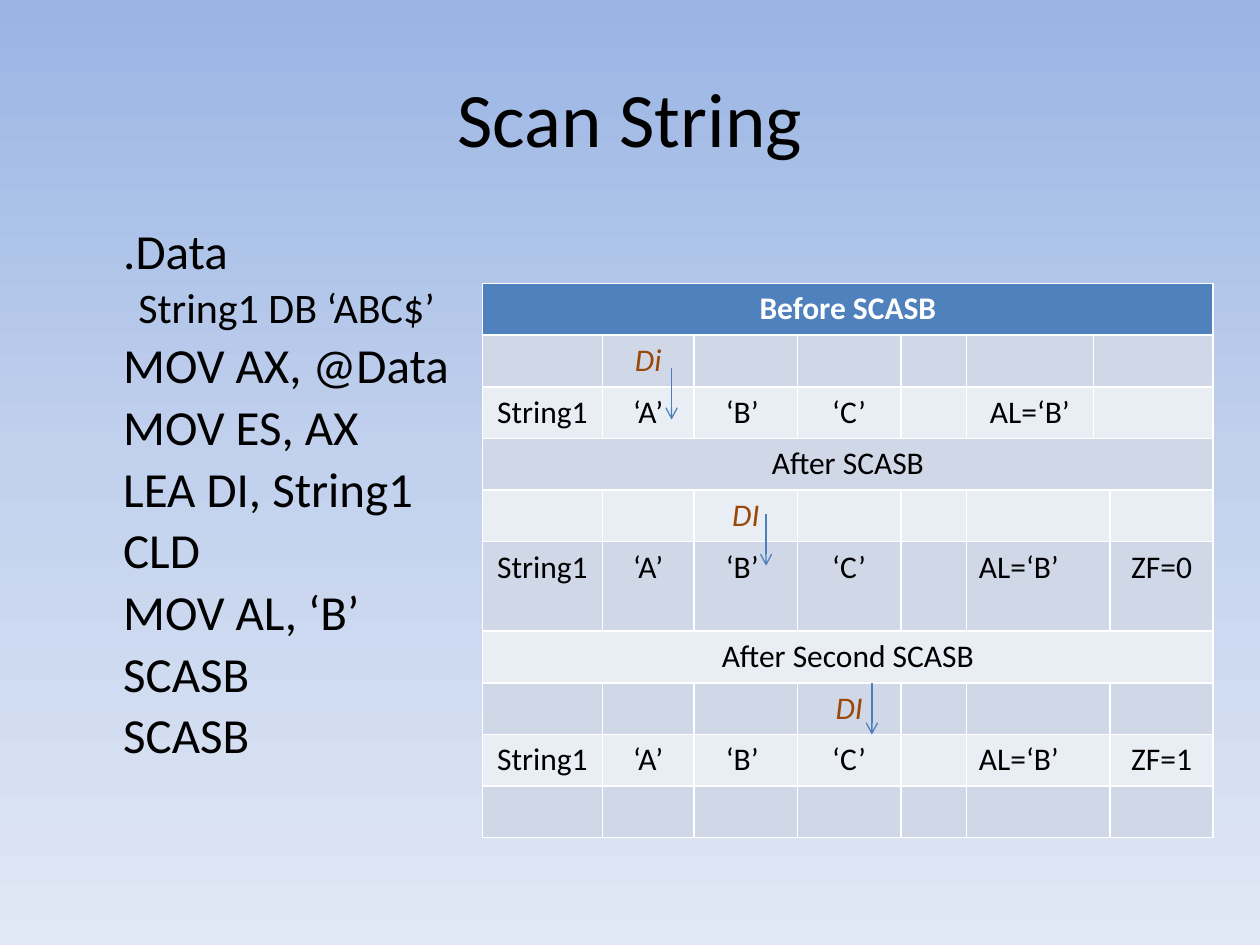
"""Build the Scan String slide with its code listing and register table."""
from copy import deepcopy

from lxml.etree import SubElement
from pptx import Presentation
from pptx.dml.color import RGBColor
from pptx.enum.shapes import MSO_CONNECTOR
from pptx.enum.text import MSO_ANCHOR, PP_ALIGN
from pptx.oxml.ns import qn
from pptx.util import Inches, Pt

TITLE = "Scan String"
SKY = [(0, "9AB5E4"), (0.5, "C2D1ED"), (1, "E1E8F5")]
CODE = [
    (".Data", 0),
    ("String1 DB ‘ABC$’", 1),
    ("MOV AX, @Data", 0),
    ("MOV ES, AX", 0),
    ("LEA DI, String1", 0),
    ("CLD", 0),
    ("MOV AL, ‘B’", 0),
    ("SCASB", 0),
    ("SCASB", 0),
]
LEVELS = [(28, 0.38, 5), (24, 0.5, 4.5)]
LETTERS = {0: "String1", 1: "‘A’", 2: "‘B’ ", 3: "‘C’", 5: "AL=‘B’"}
ROWS = [
    {0: "Before SCASB"},
    {1: "Di"},
    LETTERS,
    {0: "After SCASB"},
    {2: "DI"},
    {**LETTERS, 7: "ZF=0"},
    {0: "After Second SCASB"},
    {3: "DI"},
    {**LETTERS, 7: "ZF=1"},
    {},
]
WIDTHS = [0.95, 0.73, 0.82, 0.82, 0.52, 1.01, 0.13, 0.82]
HEIGHTS = [0.41] * 5 + [0.71] + [0.41] * 4
BANNERS = (0, 3, 6)
ARROWS = [(5.33, 2.92), (6.08, 4.08), (6.92, 5.42)]
DROP = 0.41


def color(code):
    return RGBColor.from_string(code)


def style(para, size, code="000000", bold=False, slant=False):
    for run in para.runs:
        font = run.font
        font.name, font.size = "Calibri", Pt(size)
        font.bold, font.italic = bold, slant
        font.color.rgb = color(code)


def add_sky(slide):
    fill = slide.background.fill
    fill.gradient()
    fill.gradient_angle = 270
    stops = slide.element.find(".//" + qn("a:gsLst"))
    stops.append(deepcopy(stops[-1]))
    for stop, (place, code) in zip(fill.gradient_stops, SKY):
        stop.position = place
        stop.color.rgb = color(code)


def add_box(slide, *place):
    frame = slide.shapes.add_textbox(*map(Inches, place)).text_frame
    frame.word_wrap = True
    return frame


def add_title(slide):
    frame = add_box(slide, 0.5, 0.3, 9, 1.25)
    frame.vertical_anchor = MSO_ANCHOR.MIDDLE
    frame.text = TITLE
    para = frame.paragraphs[0]
    para.alignment = PP_ALIGN.CENTER
    style(para, 44)


def add_code(slide):
    frame = add_box(slide, 0.5, 1.75, 9, 4.95)
    frame.text = "\n".join(line for line, level in CODE)
    for para, (line, level) in zip(frame.paragraphs, CODE):
        size, left, gap = LEVELS[level]
        para.line_spacing = 0.9
        para.space_before = Pt(gap)
        para._p.get_or_add_pPr().set("marL", str(Inches(left)))
        style(para, size)


def merge_row(table, row):
    if row in BANNERS:
        first, last = 0, 7
    elif row < 3:
        first, last = 6, 7
    else:
        first, last = 5, 6
    table.cell(row, first).merge(table.cell(row, last))


def fill_cell(cell, row, col, text):
    band = "D0D8E8" if row % 2 else "E9EDF4"
    cell.fill.solid()
    cell.fill.fore_color.rgb = color(band if row else "4F81BD")
    cell.text = text
    para = cell.text_frame.paragraphs[0]
    if col != 5 or row < 3:
        para.alignment = PP_ALIGN.CENTER
    mark = text.upper() == "DI"
    ink = "984807" if mark else "000000" if row else "FFFFFF"
    style(para, 18, ink, bold=row == 0, slant=mark)


def add_grid(slide):
    place = map(Inches, (3.83, 2.25, sum(WIDTHS), sum(HEIGHTS)))
    table = slide.shapes.add_table(len(ROWS), len(WIDTHS), *place).table
    for col, width in zip(table.columns, WIDTHS):
        col.width = Inches(width)
    for row, (texts, height) in enumerate(zip(ROWS, HEIGHTS)):
        table.rows[row].height = Inches(height)
        merge_row(table, row)
        for col in range(len(WIDTHS)):
            cell = table.cell(row, col)
            if not cell.is_spanned:
                fill_cell(cell, row, col, texts.get(col, ""))


def add_arrow(slide, left, top):
    ends = map(Inches, (left, top, left, top + DROP))
    arrow = slide.shapes.add_connector(MSO_CONNECTOR.STRAIGHT, *ends)
    arrow.line.color.rgb = color("4B7EBC")
    arrow.line.width = Pt(0.75)
    SubElement(arrow.line._get_or_add_ln(), qn("a:tailEnd"), type="arrow")
    SubElement(arrow._element.spPr, qn("a:effectLst"))


def main():
    deck = Presentation()
    deck.slide_width, deck.slide_height = Inches(10), Inches(7.5)
    slide = deck.slides.add_slide(deck.slide_layouts[6])
    add_sky(slide)
    add_code(slide)
    add_title(slide)
    add_grid(slide)
    for left, top in ARROWS:
        add_arrow(slide, left, top)
    deck.save("out.pptx")


if __name__ == "__main__":
    main()
